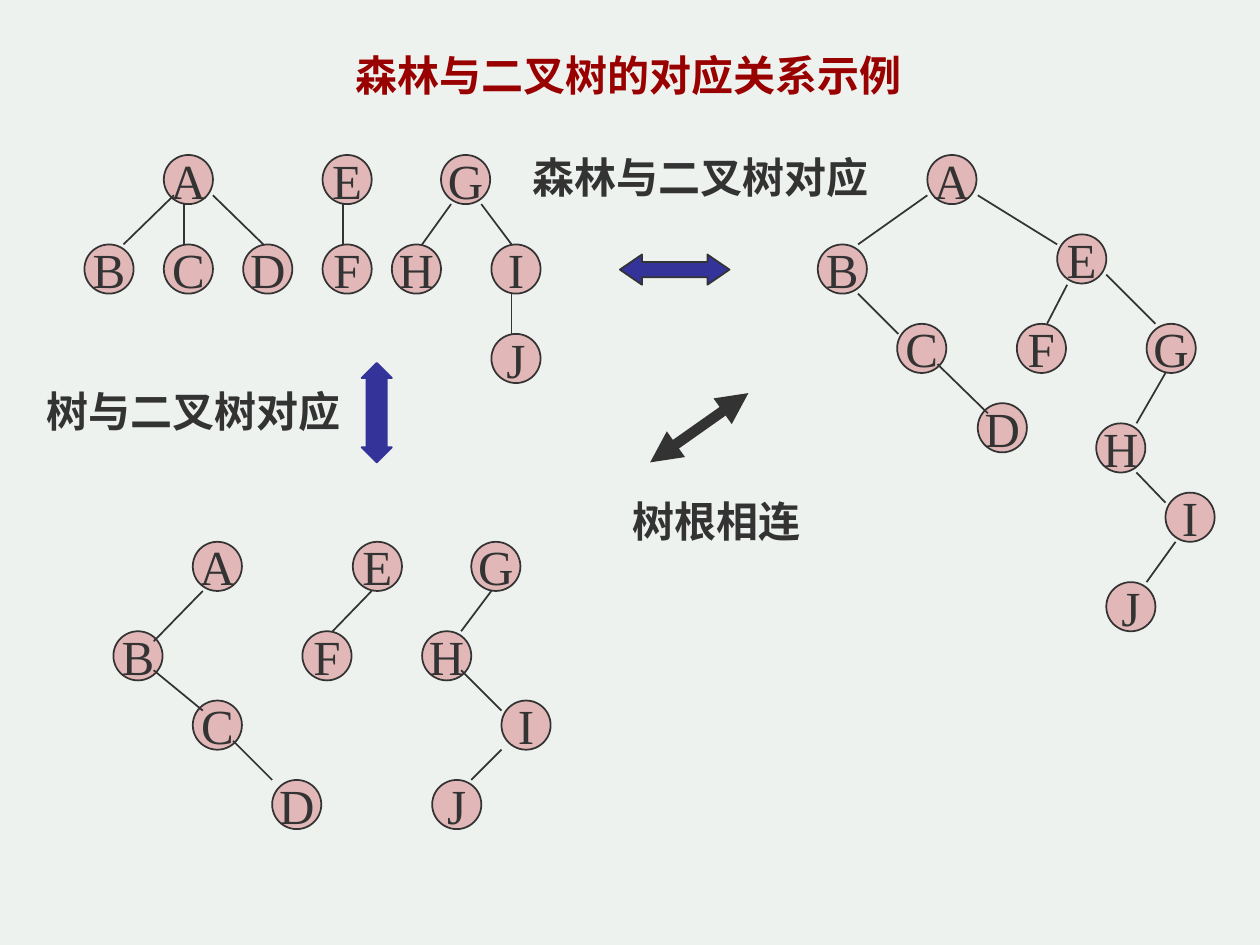
from lxml import etree
from pptx import Presentation
from pptx.dml.color import RGBColor
from pptx.enum import shapes, text
from pptx.oxml.ns import qn
from pptx.util import Inches, Pt

BACKGROUND = RGBColor(0xEE, 0xF2, 0xEE)
TITLE_RED = RGBColor(0x99, 0x00, 0x00)
INK = RGBColor(0x33, 0x33, 0x33)
NODE_PINK = RGBColor(0xE1, 0xB7, 0xB7)
ARROW_BLUE = RGBColor(0x33, 0x33, 0x99)
FONT = "Times New Roman"
NODE_SIZE = 0.39

# Each diagram: node positions (left, top), then edges (x1, y1, x2, y2), in inches
FOREST = (
    {"A": (1.3, 1.23), "B": (0.67, 1.94), "C": (1.3, 1.94), "D": (1.93, 1.94),
     "E": (2.56, 1.23), "F": (2.56, 1.94),
     "G": (3.5, 1.23), "H": (3.11, 1.94), "I": (3.9, 1.94), "J": (3.9, 2.65)},
    [(1.38, 1.55, 0.98, 1.94), (1.46, 1.62, 1.46, 1.94), (1.69, 1.55, 2.09, 1.94),
     (2.72, 1.62, 2.72, 1.94), (3.58, 1.62, 3.35, 1.94), (3.82, 1.62, 4.06, 1.94),
     (4.06, 2.33, 4.06, 2.65)],
)
SEPARATE_BINARY_TREES = (
    {"A": (1.53, 4.3), "B": (0.9, 5.01), "C": (1.53, 5.56), "D": (2.16, 6.19),
     "E": (2.8, 4.3), "F": (2.4, 5.01),
     "G": (3.74, 4.3), "H": (3.35, 5.01), "I": (3.98, 5.56), "J": (3.43, 6.19)},
    [(1.61, 4.69, 1.22, 5.09), (1.22, 5.32, 1.61, 5.64), (1.85, 5.88, 2.16, 6.19),
     (2.95, 4.69, 2.64, 5.01), (3.9, 4.69, 3.66, 5.01), (3.66, 5.32, 3.98, 5.64),
     (3.98, 5.95, 3.74, 6.19)],
)
JOINED_BINARY_TREE = (
    {"A": (7.36, 1.23), "B": (6.49, 1.94), "C": (7.12, 2.57), "D": (7.76, 3.2),
     "E": (8.39, 1.86), "F": (8.07, 2.57),
     "G": (9.1, 2.57), "H": (8.7, 3.36), "I": (9.25, 3.91), "J": (8.78, 4.62)},
    [(7.36, 1.55, 6.81, 1.94), (7.76, 1.55, 8.39, 1.94), (6.81, 2.33, 7.13, 2.65),
     (7.44, 2.89, 7.84, 3.28), (8.47, 2.26, 8.31, 2.57), (8.78, 2.18, 9.17, 2.57),
     (9.25, 2.96, 9.02, 3.36), (9.02, 3.75, 9.25, 3.99), (9.33, 4.3, 9.1, 4.62)],
)

presentation = Presentation()
presentation.slide_width = Inches(10)
presentation.slide_height = Inches(7.5)
slide = presentation.slides.add_slide(presentation.slide_layouts[6])
slide.background.fill.solid()
slide.background.fill.fore_color.rgb = BACKGROUND


def add_filled_shape(preset, left, top, width, height, fill, line):
    shape = slide.shapes.add_shape(
        preset, Inches(left), Inches(top), Inches(width), Inches(height))
    shape.shadow.inherit = False
    shape.fill.solid()
    shape.fill.fore_color.rgb = fill
    shape.line.color.rgb = line
    shape.line.width = Pt(1)
    return shape


def add_line(x1, y1, x2, y2, width=1):
    line = slide.shapes.add_connector(
        shapes.MSO_CONNECTOR.STRAIGHT, Inches(x1), Inches(y1), Inches(x2), Inches(y2))
    line.line.color.rgb = INK
    line.line.width = Pt(width)
    etree.SubElement(line._element.spPr, qn("a:effectLst"))
    return line


for nodes, edges in (FOREST, SEPARATE_BINARY_TREES, JOINED_BINARY_TREE):
    for letter, (left, top) in nodes.items():
        node = add_filled_shape(shapes.MSO_SHAPE.OVAL, left, top, NODE_SIZE, NODE_SIZE,
                                NODE_PINK, INK)
        frame = node.text_frame
        frame.word_wrap = False
        frame.vertical_anchor = text.MSO_ANCHOR.MIDDLE
        paragraph = frame.paragraphs[0]
        paragraph.text = letter
        paragraph.alignment = text.PP_ALIGN.CENTER
        paragraph.font.name = FONT
        paragraph.font.size = Pt(28)
        paragraph.font.color.rgb = INK
    for edge in edges:
        add_line(*edge)

for label, left, top, width, color in (
    ("森林与二叉树的对应关系示例", 2.72, 0.34, 4.57, TITLE_RED),
    ("森林与二叉树对应", 4.13, 1.15, 2.99, INK),
    ("树与二叉树对应", 0.27, 3.01, 2.68, INK),
    ("树根相连", 4.92, 3.88, 1.66, INK),
):
    box = slide.shapes.add_textbox(Inches(left), Inches(top), Inches(width), Inches(0.5))
    box.text_frame.word_wrap = True
    paragraph = box.text_frame.paragraphs[0]
    paragraph.text = label
    paragraph.font.name = FONT
    paragraph.font.size = Pt(24)
    paragraph.font.bold = True
    paragraph.font.color.rgb = color

forest_arrow = add_filled_shape(shapes.MSO_SHAPE.LEFT_RIGHT_ARROW, 4.92, 2.02, 0.87, 0.24,
                                ARROW_BLUE, INK)
forest_arrow.adjustments[1] = 0.73
tree_arrow = add_filled_shape(shapes.MSO_SHAPE.UP_DOWN_ARROW, 2.87, 2.88, 0.24, 0.79,
                              ARROW_BLUE, ARROW_BLUE)
tree_arrow.adjustments[1] = 0.67

root_arrow = add_line(5.16, 3.67, 5.94, 3.12, width=6)
for end in ("a:headEnd", "a:tailEnd"):
    etree.SubElement(root_arrow.line._get_or_add_ln(), qn(end), type="triangle",
                     w="med", len="med")

presentation.save("out.pptx")
